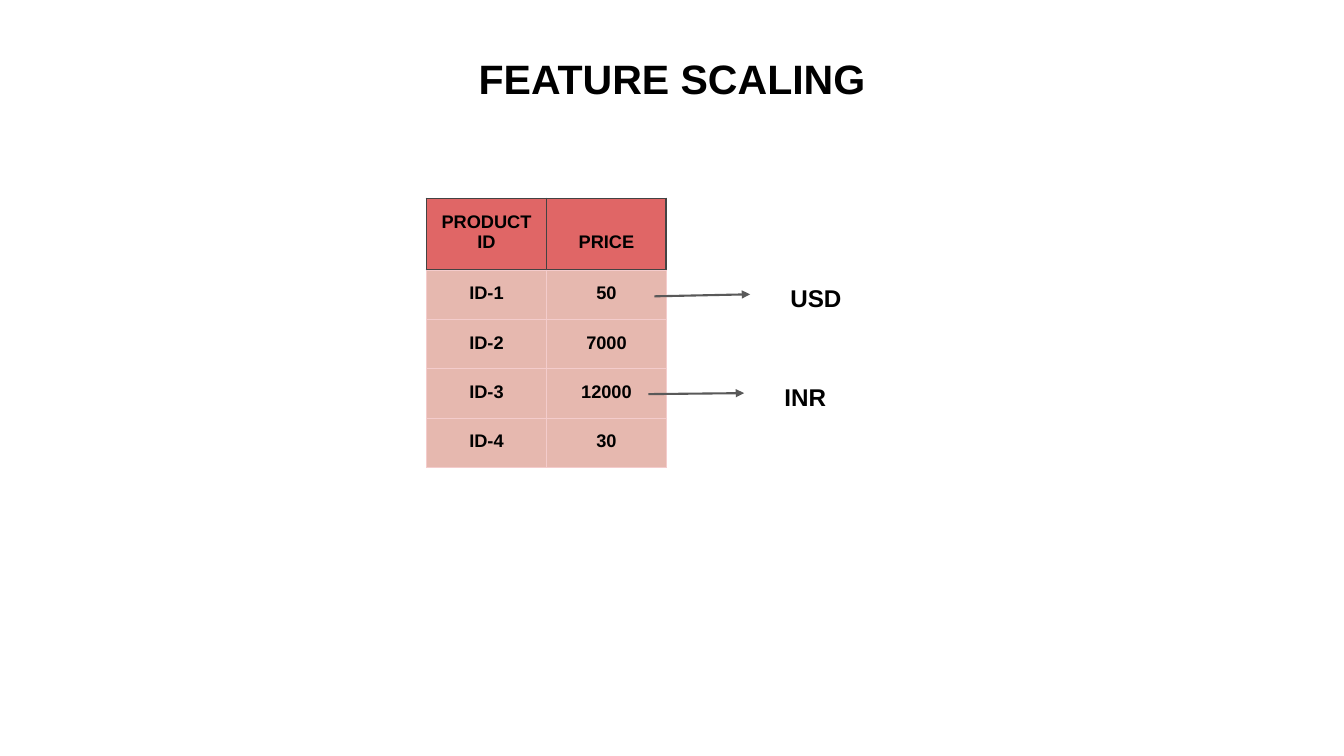
"""Build the feature scaling slide: a price table with currency call-outs."""
from lxml.etree import SubElement
from pptx import Presentation
from pptx.dml.color import RGBColor
from pptx.enum.shapes import MSO_CONNECTOR
from pptx.enum.text import MSO_ANCHOR, PP_ALIGN
from pptx.oxml.ns import qn
from pptx.util import Inches, Pt

BLACK = RGBColor(0x00, 0x00, 0x00)
HEADER_FILL = RGBColor(0xE0, 0x66, 0x66)
HEADER_BORDER = RGBColor(0x43, 0x43, 0x43)
BODY_FILL = RGBColor(0xE6, 0xB8, 0xAF)
BODY_BORDER = RGBColor(0xF4, 0xCC, 0xCC)
ARROW = RGBColor(0x59, 0x59, 0x59)
INSET = Inches(0.13)
COLUMN_WIDTH = 1.19


def write(holder, text, size, align):
    """Put bold black text into a cell or text box."""
    holder.margin_left = holder.margin_right = INSET
    holder.margin_top = holder.margin_bottom = INSET
    paragraph = holder.text_frame.paragraphs[0] if hasattr(holder, "text_frame") else holder.paragraphs[0]
    paragraph.text = text
    paragraph.alignment = align
    font = paragraph.runs[0].font
    font.name, font.size, font.bold = "Arial", Pt(size), True
    font.color.rgb = BLACK


def add_grid(rows, top, row_height, fill, border, border_width):
    """Add a two-column table whose cells share one fill and border."""
    grid = slide.shapes.add_table(
        len(rows), 2, Inches(4.23), Inches(top),
        Inches(2 * COLUMN_WIDTH), Inches(row_height * len(rows))).table
    grid.first_row = grid.horz_banding = False
    for column in grid.columns:
        column.width = Inches(COLUMN_WIDTH)
    for r, values in enumerate(rows):
        grid.rows[r].height = Inches(row_height)
        for c, value in enumerate(values):
            cell = grid.cell(r, c)
            write(cell, value, 13, PP_ALIGN.CENTER)
            properties = cell._tc.get_or_add_tcPr()
            for side in ("a:lnL", "a:lnR", "a:lnT", "a:lnB"):
                edge = SubElement(properties, qn(side), w=str(Pt(border_width)))
                SubElement(SubElement(edge, qn("a:solidFill")), qn("a:srgbClr"), val=str(border))
            cell.fill.solid()
            cell.fill.fore_color.rgb = fill
    return grid


prs = Presentation()
prs.slide_width, prs.slide_height = Inches(13.33), Inches(7.5)
slide = prs.slides.add_slide(prs.slide_layouts[6])

header = add_grid([("PRODUCT ID", "PRICE")], 1.97, 0.71, HEADER_FILL, HEADER_BORDER, 1.5)
price_heading = header.cell(0, 1)
price_heading.vertical_anchor = MSO_ANCHOR.BOTTOM
price_heading.margin_bottom = Inches(0.18)

products = [("ID-1", "50"), ("ID-2", "7000"), ("ID-3", "12000"), ("ID-4", "30")]
add_grid(products, 2.68, 0.49, BODY_FILL, BODY_BORDER, 0.75)

labels = [
    ("FEATURE SCALING", 3.35, 0.4, 6.63, 0.72, 29.3, PP_ALIGN.CENTER),
    ("USD", 7.71, 2.68, 0.83, 0.47, 17.3, PP_ALIGN.LEFT),
    ("INR", 7.65, 3.66, 0.83, 0.47, 17.3, PP_ALIGN.LEFT),
]
for text, left, top, width, height, size, align in labels:
    frame = slide.shapes.add_textbox(
        Inches(left), Inches(top), Inches(width), Inches(height)).text_frame
    frame.word_wrap = True
    write(frame, text, size, align)

for left, start_y, end_y in [(6.49, 2.94, 2.92), (6.43, 3.91, 3.9)]:
    arrow = slide.shapes.add_connector(
        MSO_CONNECTOR.STRAIGHT, Inches(left), Inches(start_y), Inches(left + 0.95), Inches(end_y))
    arrow.line.color.rgb = ARROW
    arrow.line.width = Pt(1.5)
    SubElement(arrow.line._get_or_add_ln(), qn("a:tailEnd"), type="triangle")
    SubElement(arrow._element.spPr, qn("a:effectLst"))

prs.save("out.pptx")
